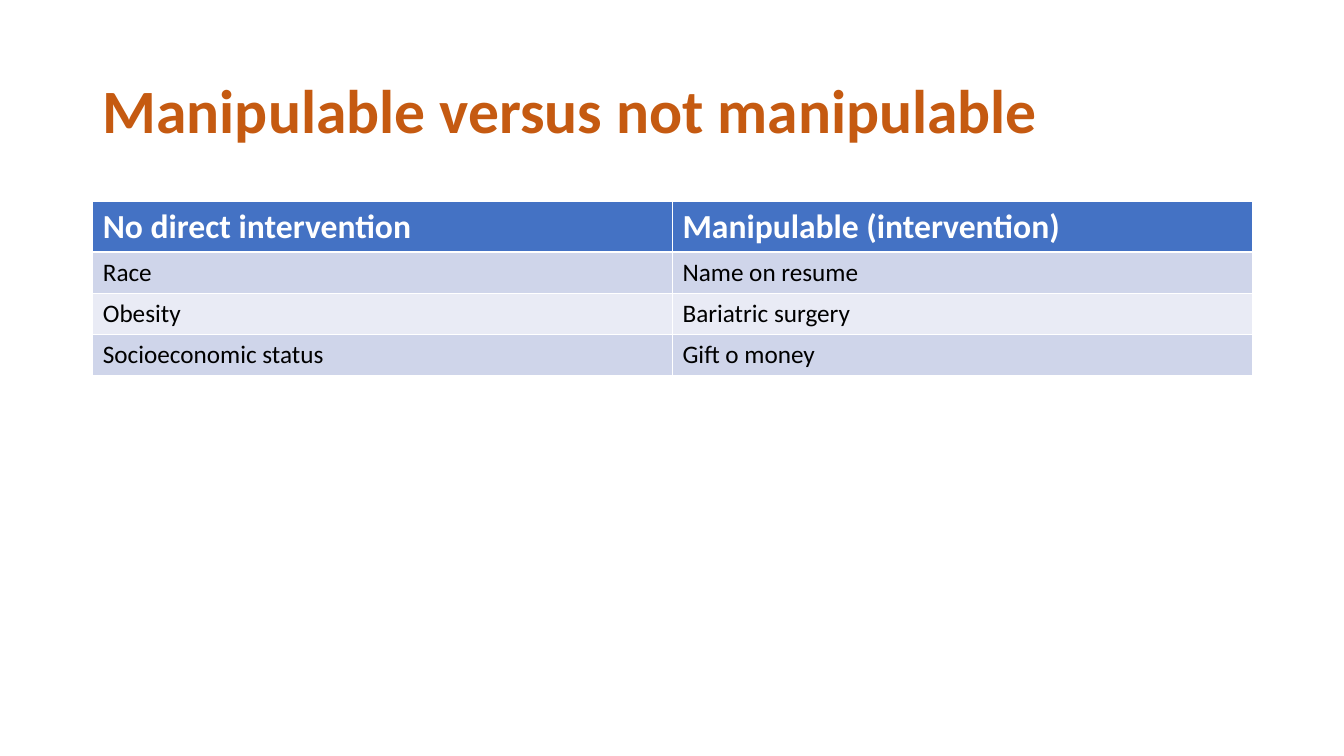
import pptx
import pptx.dml.color
import pptx.enum.text
import pptx.util

FONT = "Calibri"
HEAD_FILL = "4472C4"
BANDS = ["CFD5EA", "E9EBF5"]
ROWS = [
    ("No direct intervention", "Manipulable (intervention)"),
    ("Race", "Name on resume"),
    ("Obesity", "Bariatric surgery"),
    ("Socioeconomic status", "Gift o money"),
]


def px(n):
    """Turn px, 100 to the inch, into EMU."""
    return pptx.util.Emu(n * 9144)


def color(code):
    return pptx.dml.color.RGBColor.from_string(code)


def write(para, text, size, code, bold):
    run = para.add_run()
    run.text = text
    font = run.font
    font.name = FONT
    font.size = pptx.util.Pt(size)
    font.bold = bold
    font.color.rgb = color(code)


def title(slide, x, y, w, h):
    frame = slide.shapes.add_textbox(px(x), px(y), px(w), px(h)).text_frame
    frame.word_wrap = True
    frame.vertical_anchor = pptx.enum.text.MSO_ANCHOR.MIDDLE
    para = frame.paragraphs[0]
    para.line_spacing = 0.9
    write(para, "Manipulable versus not manipulable", 44, "C55A11", True)


def table(slide, x, y, w, h, head=49):
    count, width = len(ROWS), len(ROWS[0])
    grid = slide.shapes.add_table(count, width, px(x), px(y), px(w), px(h)).table
    for col in grid.columns:
        col.width = px(w // width)
    for i, texts in enumerate(ROWS):
        top = i == 0
        grid.rows[i].height = px(head if top else (h - head) // (count - 1))
        fill = HEAD_FILL if top else BANDS[(i - 1) % 2]
        size, ink = (24, "FFFFFF") if top else (18, "000000")
        for j, text in enumerate(texts):
            cell = grid.cell(i, j)
            cell.fill.solid()
            cell.fill.fore_color.rgb = color(fill)
            write(cell.text_frame.paragraphs[0], text, size, ink, top)


def main():
    deck = pptx.Presentation()
    deck.slide_width, deck.slide_height = px(1333), px(750)
    slide = deck.slides.add_slide(deck.slide_layouts[6])
    title(slide, 92, 40, 1150, 145)
    table(slide, 92, 200, 1150, 172)
    deck.save("out.pptx")


if __name__ == "__main__":
    main()
